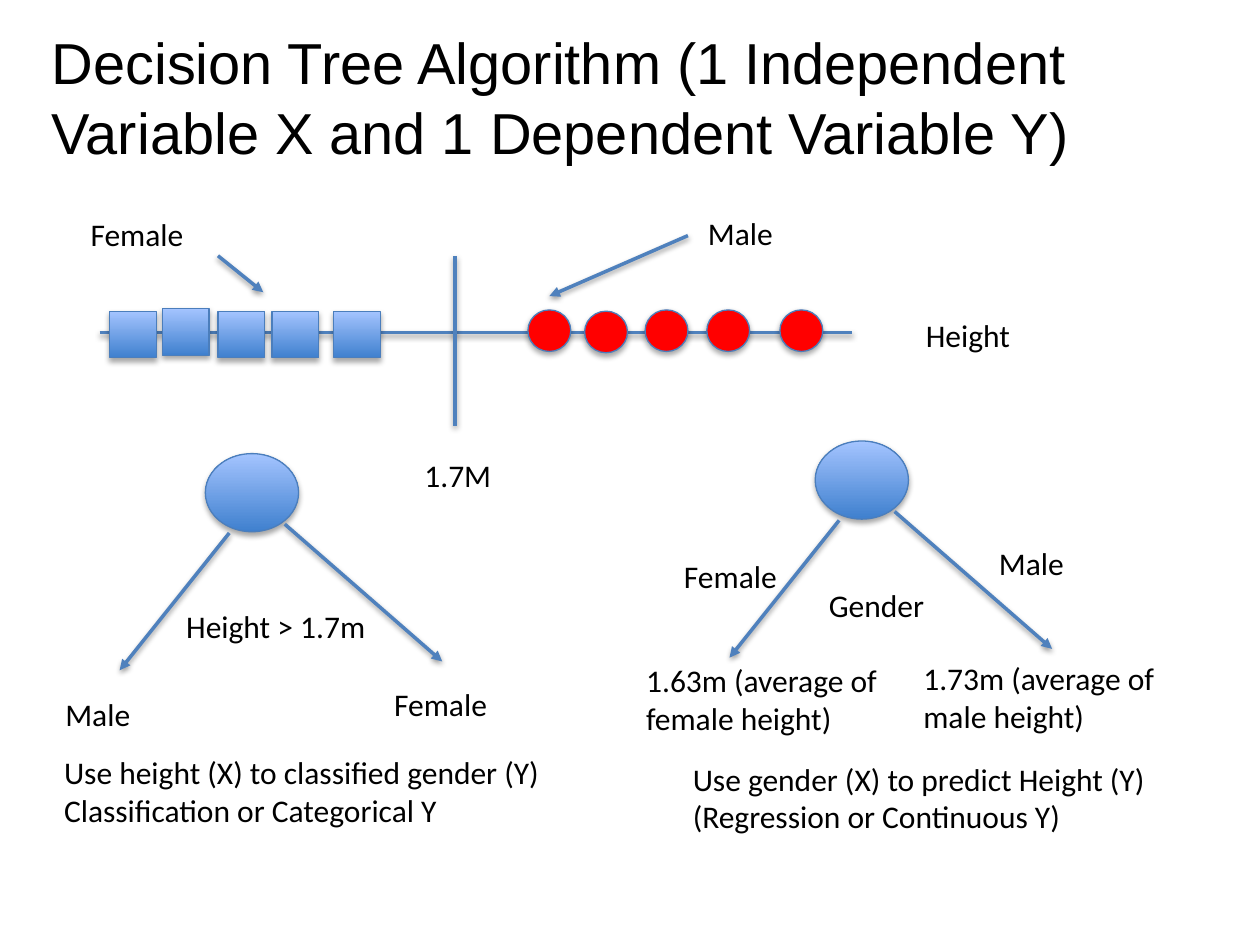
from lxml.etree import SubElement
from pptx import Presentation
from pptx.dml.color import RGBColor
from pptx.enum.shapes import MSO_CONNECTOR, MSO_SHAPE
from pptx.enum.text import MSO_ANCHOR, MSO_AUTO_SIZE, PP_ALIGN
from pptx.oxml.ns import qn
from pptx.util import Inches, Pt


def color(hex_string):
    return RGBColor.from_string(hex_string)


class DiagramSlide:
    BLACK, RED = "000000", "FF0000"
    OUTLINE, LINE = "4B7EBC", "4F81BD"
    GRADIENT = ("3F80CE", "A4C4FF")

    def __init__(self, slide):
        self.slide = slide
        self.shapes = slide.shapes

    def style(self, paragraph, size, font):
        paragraph.alignment = PP_ALIGN.LEFT
        paragraph.font.size = Pt(size)
        paragraph.font.name = font
        paragraph.font.color.rgb = color(self.BLACK)

    def shadow(self, element, distance, opacity):
        effects = SubElement(element.spPr, qn("a:effectLst"))
        outer = SubElement(effects, qn("a:outerShdw"), blurRad=str(Pt(3.15)),
                           dist=str(Pt(distance)), dir="5400000", rotWithShape="0")
        black = SubElement(outer, qn("a:srgbClr"), val=self.BLACK)
        SubElement(black, qn("a:alpha"), val=str(opacity * 1000))

    def title(self, text, left, top, width, height):
        title = self.shapes.title
        title.left, title.top = Inches(left), Inches(top)
        title.width, title.height = Inches(width), Inches(height)
        frame = title.text_frame
        frame.text = text
        frame.vertical_anchor = MSO_ANCHOR.MIDDLE
        self.style(frame.paragraphs[0], 33, "Arial")

    def label(self, text, left, top, width, height=0.4, wrap=False):
        box = self.shapes.add_textbox(Inches(left), Inches(top), Inches(width), Inches(height))
        frame = box.text_frame
        frame.text = text
        frame.word_wrap = wrap
        frame.auto_size = MSO_AUTO_SIZE.SHAPE_TO_FIT_TEXT
        for paragraph in frame.paragraphs:
            self.style(paragraph, 18, "Calibri")

    def shape(self, kind, left, top, width, height, fill=None):
        """Draw a preset shape; without a fill colour it gets the blue gradient."""
        shape = self.shapes.add_shape(
            kind, Inches(left), Inches(top), Inches(width), Inches(height))
        if fill:
            shape.fill.solid()
            shape.fill.fore_color.rgb = color(fill)
        else:
            shape.fill.gradient()
            shape.fill.gradient_angle = 90
            for stop, shade in zip(shape.fill.gradient_stops, self.GRADIENT):
                stop.color.rgb = color(shade)
                stop.position = self.GRADIENT.index(shade)
        shape.line.color.rgb = color(self.OUTLINE)
        shape.line.width = Pt(0.75)
        self.shadow(shape._element, 1.8, 35)

    def line(self, x1, y1, x2, y2, arrow=False):
        line = self.shapes.add_connector(
            MSO_CONNECTOR.STRAIGHT, Inches(x1), Inches(y1), Inches(x2), Inches(y2))
        line.line.color.rgb = color(self.LINE)
        line.line.width = Pt(2)
        if arrow:
            SubElement(line.line._get_or_add_ln(), qn("a:tailEnd"), type="triangle")
        self.shadow(line._element, 1.6, 38)

    def tree(self, left, top):
        """Draw a root node with its two branches."""
        self.shape(MSO_SHAPE.OVAL, left, top, 0.74, 0.62)
        self.line(left + 0.19, top + 0.63, left - 0.68, top + 1.72, arrow=True)
        self.line(left + 0.63, top + 0.56, left + 1.88, top + 1.65, arrow=True)


def main():
    presentation = Presentation()
    presentation.slide_width, presentation.slide_height = Inches(10), Inches(7.5)
    diagram = DiagramSlide(presentation.slides.add_slide(presentation.slide_layouts[5]))
    diagram.title("Decision Tree Algorithm (1 Independent Variable X "
                  "and 1 Dependent Variable Y)", 0.31, 0.14, 9, 1.25)

    # Height axis with female squares and male circles
    diagram.line(0.79, 2.64, 6.76, 2.64)
    diagram.label("Height", 7.25, 2.46, 0.88)
    for left, top in ((4.19, 2.46), (4.64, 2.47), (5.12, 2.46), (5.61, 2.46), (6.19, 2.46)):
        diagram.shape(MSO_SHAPE.OVAL, left, top, 0.34, 0.33, diagram.RED)
    for left, top in ((0.87, 2.47), (1.29, 2.45), (1.73, 2.47), (2.16, 2.47), (2.65, 2.47)):
        diagram.shape(MSO_SHAPE.RECTANGLE, left, top, 0.37, 0.37)

    # Split point and group callouts
    diagram.line(3.61, 2.03, 3.61, 3.38)
    diagram.label("1.7M", 3.27, 3.57, 0.74)
    diagram.label("Female", 0.62, 1.66, 0.95)
    diagram.line(1.73, 2.03, 2.09, 2.32, arrow=True)
    diagram.label("Male", 5.52, 1.65, 0.72)
    diagram.line(5.46, 1.87, 4.36, 2.35, arrow=True)

    # Classification tree
    diagram.tree(1.63, 3.6)
    diagram.label("Height > 1.7m", 1.38, 4.77, 1.64)
    diagram.label("Male", 0.42, 5.47, 0.72)
    diagram.label("Female", 3.03, 5.39, 0.95)
    diagram.label("Use height (X) to classified gender (Y)\nClassification or Categorical Y",
                  0.41, 5.93, 4.02, 0.71)

    # Regression tree
    diagram.tree(6.47, 3.5)
    diagram.label("Gender", 6.48, 4.6, 0.97)
    diagram.label("Female", 5.33, 4.37, 0.95)
    diagram.label("Male", 7.83, 4.27, 0.72)
    diagram.label("1.63m (average of female height)", 5.03, 5.2, 2.06, 0.73, wrap=True)
    diagram.label("1.73m (average of male height)", 7.23, 5.18, 2.06, 0.73, wrap=True)
    diagram.label("Use gender (X) to predict Height (Y)\n(Regression or Continuous Y)",
                  5.4, 5.98, 3.84, 0.71)

    presentation.save("out.pptx")


if __name__ == "__main__":
    main()
